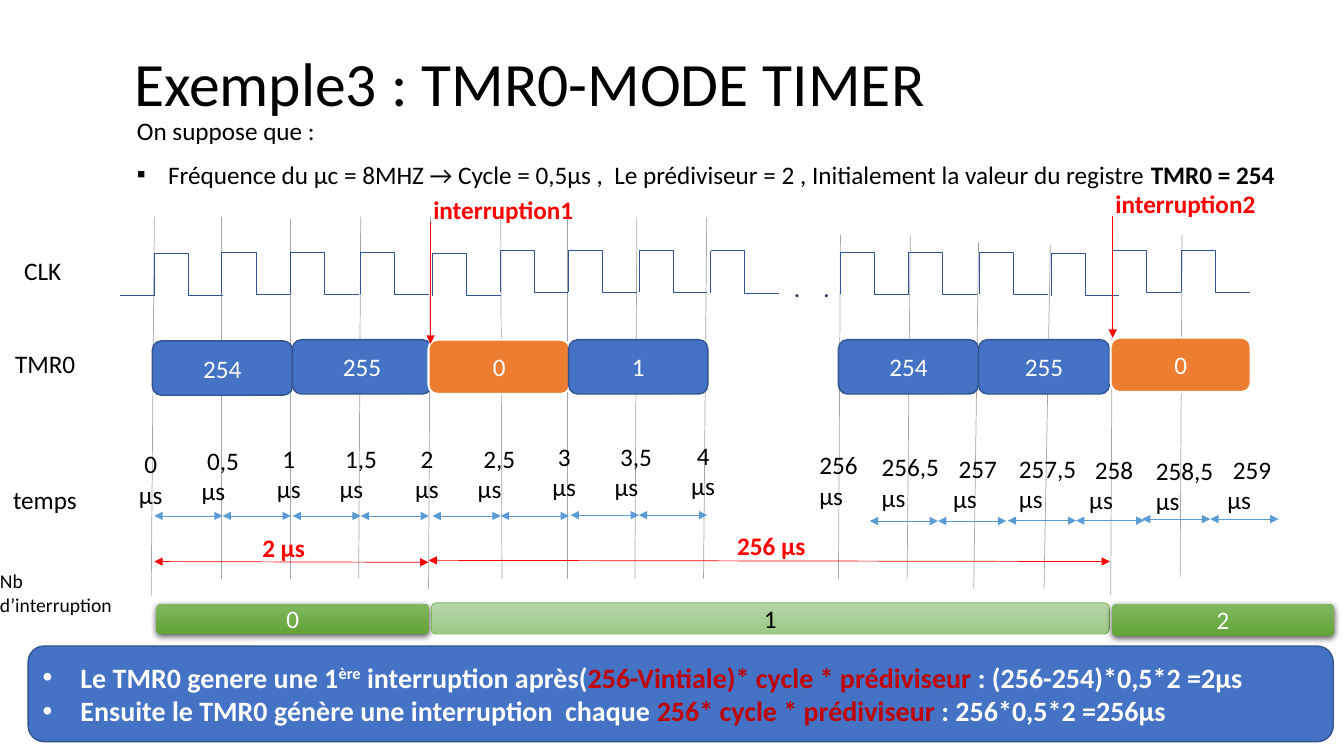
from lxml import etree
from pptx import Presentation
from pptx.dml.color import RGBColor
from pptx.enum.shapes import MSO_CONNECTOR, MSO_SHAPE
from pptx.enum.text import MSO_ANCHOR, PP_ALIGN
from pptx.oxml.ns import qn
from pptx.util import Cm, Pt

STRAIGHT, ELBOW = MSO_CONNECTOR.STRAIGHT, MSO_CONNECTOR.ELBOW
ROUNDED = MSO_SHAPE.ROUNDED_RECTANGLE
TOP, MIDDLE = MSO_ANCHOR.TOP, MSO_ANCHOR.MIDDLE
LEFT, CENTER = PP_ALIGN.LEFT, PP_ALIGN.CENTER

THEME = {
    "font": "Calibri", "title": 44, "banner": 20, "body": 18, "small": 14,
    "black": "000000", "white": "FFFFFF", "red": "FF0000", "formula": "C00000",
    "dots": "203864", "grid": "A5A5A5", "wave": "2F5597", "step": "5B9BD5",
    "blue": "4472C4", "blue_edge": "325491", "orange": "ED7D31",
    "green": ("81B861", "62A336"), "pale": ("B5D5A7", "9CC987"), "pale_edge": "70AD47",
}

TITLE = "Exemple3 : TMR0-MODE TIMER"
ASSUMPTION = "On suppose que :"
SETTINGS = [
    "Fréquence du µc = 8MHZ → Cycle = 0,5µs ,  Le prédiviseur = 2 , Initialement la valeur du registre ",
    ("TMR0 = 254", {"bold": True}),
]
ROW_LABELS = [
    ("CLK", 0.36, 6.3, 1.98, "body"),
    ("TMR0", 0.13, 8.66, 2.29, "body"),
    ("temps", 0.08, 12.09, 2.29, "body"),
    ("Nb d’interruption", -0.25, 14.22, 3.38, "small"),
]
GRID_LINES = [
    (3.89, 5.46, 3.81, 15.01), (5.59, 5.46, 5.59, 14.58), (7.32, 5.51, 7.32, 14.58),
    (9.09, 5.46, 9.04, 14.58), (10.85, 5.46, 10.8, 14.83), (12.62, 5.46, 12.65, 14.58),
    (14.3, 5.46, 14.3, 14.58), (16.05, 5.46, 16, 14.58), (17.81, 5.49, 17.73, 14.58),
    (21.18, 5.92, 21.13, 14.58), (22.94, 5.94, 22.86, 14.58), (24.66, 6.1, 24.54, 14.83),
    (26.47, 6.17, 26.31, 14.83), (28.04, 5.99, 27.99, 14.99), (29.79, 5.92, 29.74, 14.55),
]
PULSES = [
    (3.89, 6.38), (5.59, 6.35), (7.32, 6.35), (9.09, 6.35), (10.9, 6.38),
    (12.6, 6.3), (14.33, 6.3), (16.1, 6.3), (17.91, 6.32),
    (21.18, 6.35), (22.89, 6.35), (24.69, 6.35), (26.49, 6.38), (28.04, 6.3), (29.77, 6.3),
]
PULSE_WIDTH, PULSE_HEIGHT, LEAD_IN = 1.72, 1.07, 0.86
REGISTER = [
    ("254", 3.84, 8.59, 3.53), ("255", 7.37, 8.56, 3.51), ("0", 10.8, 8.56, 3.56),
    ("1", 14.33, 8.56, 3.51), ("254", 21.13, 8.56, 3.53), ("255", 24.66, 8.56, 3.3),
    ("0", 27.99, 8.51, 3.53),
]
STEP_PAIRS = [(3.89, 13), (7.37, 13), (10.9, 13), (14.38, 12.98),
              (21.92, 13.13), (25.4, 13.12), (28.78, 13.08)]
STEP = 1.72
SPACE = 0.14
TIMES = [
    ("0", 3.25, 11.18, 1.55, SPACE), ("0,5", 4.83, 11.1, 1.55, SPACE),
    ("1", 6.73, 11.05, 1.55, SPACE), ("1,5", 8.31, 11.05, 1.55, SPACE),
    ("2", 10.21, 11.05, 1.55, SPACE), ("2,5", 11.79, 11.05, 1.55, SPACE),
    ("3", 13.67, 11, 1.55, SPACE), ("3,5", 15.24, 11, 1.55, SPACE),
    ("4", 17.17, 10.97, 1.55, SPACE), ("256", 20.4, 11.21, 2.1, 0),
    ("256,5", 21.97, 11.26, 2.1, 0), ("257", 23.77, 11.3, 2.1, SPACE),
    ("257,5", 25.43, 11.29, 2.1, 0), ("258", 27.2, 11.33, 2.1, SPACE),
    ("258,5", 28.88, 11.34, 2.1, 0), ("259", 30.68, 11.33, 2.1, SPACE),
]
DURATIONS = [
    ("2 µs", 6.36, 13.28, (3.89, 14.15, 10.8, 14.17)),
    ("256 µs", 18.33, 13.23, (10.8, 14.12, 27.97, 14.15)),
]
INTERRUPTS = [("interruption1", 10.85, 5.59), ("interruption2", 28.04, 5.44)]
COUNTS = [
    ("0", 3.94, 15.21, 6.88, 0.76, "green", "white"),
    ("1", 10.87, 15.19, 17.09, 0.79, "pale", "black"),
    ("2", 28.02, 15.21, 5.61, 0.81, "green", "white"),
]
RED_FORMULA = {"color": "formula"}
CONCLUSIONS = [
    ["Le TMR0 genere une 1", ("ère", {"raised": True}), " interruption après(",
     ("256-Vintiale)* cycle * prédiviseur ", RED_FORMULA), ": (256-254)*0,5*2 =2µs"],
    ["Ensuite le TMR0 génère une interruption  chaque ",
     ("256* cycle * prédiviseur ", RED_FORMULA), ": 256*0,5*2 =256µs"],
]


def rgb(key):
    return RGBColor.from_string(THEME.get(key, key))


def add_text(paragraph, content, size="body", color="black", bold=False, align=LEFT,
             margin=0, indent=0, bullet=None, before=0, spacing=None):
    props = paragraph._p.get_or_add_pPr()
    props.set("marL", str(Cm(margin)))
    props.set("indent", str(Cm(indent)))
    if bullet:
        etree.SubElement(props, qn("a:buFont"), typeface="Arial")
        etree.SubElement(props, qn("a:buChar"), char=bullet)
    paragraph.alignment = align
    paragraph.space_before = Pt(before)
    if spacing:
        paragraph.line_spacing = spacing
    for part in [content] if isinstance(content, str) else content:
        words, change = (part, {}) if isinstance(part, str) else part
        run = paragraph.add_run()
        run.text = words
        run.font.name = THEME["font"]
        run.font.size = Pt(THEME[size])
        run.font.bold = change.get("bold", bold)
        run.font.color.rgb = rgb(change.get("color", color))
        if change.get("raised"):
            run._r.get_or_add_rPr().set("baseline", "30000")


def add_box(slide, left, top, width, height=1.02, anchor=TOP):
    frame = slide.shapes.add_textbox(Cm(left), Cm(top), Cm(width), Cm(height)).text_frame
    frame.word_wrap = True
    frame.vertical_anchor = anchor
    return frame


def add_block(slide, left, top, width, height, fill, edge=None, weight=1):
    block = slide.shapes.add_shape(ROUNDED, Cm(left), Cm(top), Cm(width), Cm(height))
    block.shadow.inherit = False
    if isinstance(THEME[fill], tuple):
        block.fill.gradient()
        block.fill.gradient_angle = 270
        for stop, tone in zip(block.fill.gradient_stops, THEME[fill]):
            stop.color.rgb = rgb(tone)
    else:
        block.fill.solid()
        block.fill.fore_color.rgb = rgb(fill)
    if edge:
        block.line.color.rgb = rgb(edge)
        block.line.width = Pt(weight)
    else:
        block.line.fill.background()
    block.text_frame.word_wrap = True
    block.text_frame.vertical_anchor = MIDDLE
    return block


def add_drop_shadow(block):
    effects = block._element.spPr.find(qn("a:effectLst"))
    shadow = etree.SubElement(effects, qn("a:outerShdw"), blurRad=str(Pt(4.5)),
                              dist=str(Pt(1.5)), dir="5400000", algn="ctr", rotWithShape="0")
    tone = etree.SubElement(shadow, qn("a:srgbClr"), val=THEME["black"])
    etree.SubElement(tone, qn("a:alpha"), val="63000")


def add_line(slide, ends, color, kind=STRAIGHT, arrows=()):
    line = slide.shapes.add_connector(kind, *[Cm(value) for value in ends])
    line.line.color.rgb = rgb(color)
    line.line.width = Pt(0.5)
    for arrow in arrows:
        etree.SubElement(line.line._get_or_add_ln(), qn(arrow), type="triangle")
    etree.SubElement(line._element.spPr, qn("a:effectLst"))


def main():
    deck = Presentation()
    deck.slide_width, deck.slide_height = Cm(33.87), Cm(19.05)
    slide = deck.slides.add_slide(deck.slide_layouts[6])
    both = ("a:headEnd", "a:tailEnd")

    for ends in GRID_LINES:
        add_line(slide, ends, "grid")
    title = add_box(slide, 3.13, 0.33, 28.16, 3.68, MIDDLE)
    add_text(title.paragraphs[0], TITLE, size="title", spacing=0.9)
    intro = add_box(slide, 1.22, 2.77, 32.41, 2.16)
    add_text(intro.paragraphs[0], ASSUMPTION, margin=1.98)
    add_text(intro.add_paragraph(), SETTINGS, margin=2.77, indent=-0.79, bullet="▪", before=10)

    for value, left, top, width in REGISTER:
        fill, edge, weight = ("orange", "white", 1.5) if value == "0" else ("blue", "blue_edge", 1)
        block = add_block(slide, left, top, width, 1.37, fill, edge, weight)
        add_text(block.text_frame.paragraphs[0], value, color="white", align=CENTER)

    for left, y in STEP_PAIRS:
        for start in (left, left + STEP):
            add_line(slide, (start, y, start + STEP, y), "step", arrows=both)
    for value, left, top, width, indent in TIMES:
        time = add_box(slide, left, top, width, 1.8)
        add_text(time.paragraphs[0], value, indent=indent)
        add_text(time.add_paragraph(), "µs")
    for label, left, top, width, size in ROW_LABELS:
        add_text(add_box(slide, left, top, width).paragraphs[0], label, size=size)

    first_x, first_top = PULSES[0]
    low = first_top + PULSE_HEIGHT
    add_line(slide, (first_x - LEAD_IN, low, first_x, low), "wave")
    for x, top in PULSES:
        add_line(slide, (x, top + PULSE_HEIGHT, x, top), "wave")
        add_line(slide, (x, top, x + PULSE_WIDTH, top + PULSE_HEIGHT), "wave", ELBOW)
    for left in (19.76, 20.5):
        add_text(add_box(slide, left, 6.73, 1).paragraphs[0], ".", color="dots")

    for label, left, top, ends in DURATIONS:
        add_line(slide, ends, "red", arrows=both)
        add_text(add_box(slide, left, top, 3.2).paragraphs[0], label, color="red", bold=True)
    for label, x, y in INTERRUPTS:
        add_line(slide, (x, y, x, y + 3.07), "red", arrows=("a:tailEnd",))
        name = add_box(slide, x - 0.18, y - 0.81, 4.37)
        add_text(name.paragraphs[0], label, color="red", bold=True)

    for count, left, top, width, height, fill, color in COUNTS:
        edge = "pale_edge" if fill == "pale" else None
        bar = add_block(slide, left, top, width, height, fill, edge, 0.5)
        if not edge:
            add_drop_shadow(bar)
        add_text(bar.text_frame.paragraphs[0], count, color=color, align=CENTER)

    banner = add_block(slide, 0.71, 16.28, 32.89, 2.41, "blue", "blue_edge").text_frame
    for index, conclusion in enumerate(CONCLUSIONS):
        line = banner.add_paragraph() if index else banner.paragraphs[0]
        add_text(line, conclusion, size="banner", color="white", bold=True,
                 margin=0.95, indent=-0.95, bullet="•")
    deck.save("out.pptx")


if __name__ == "__main__":
    main()
